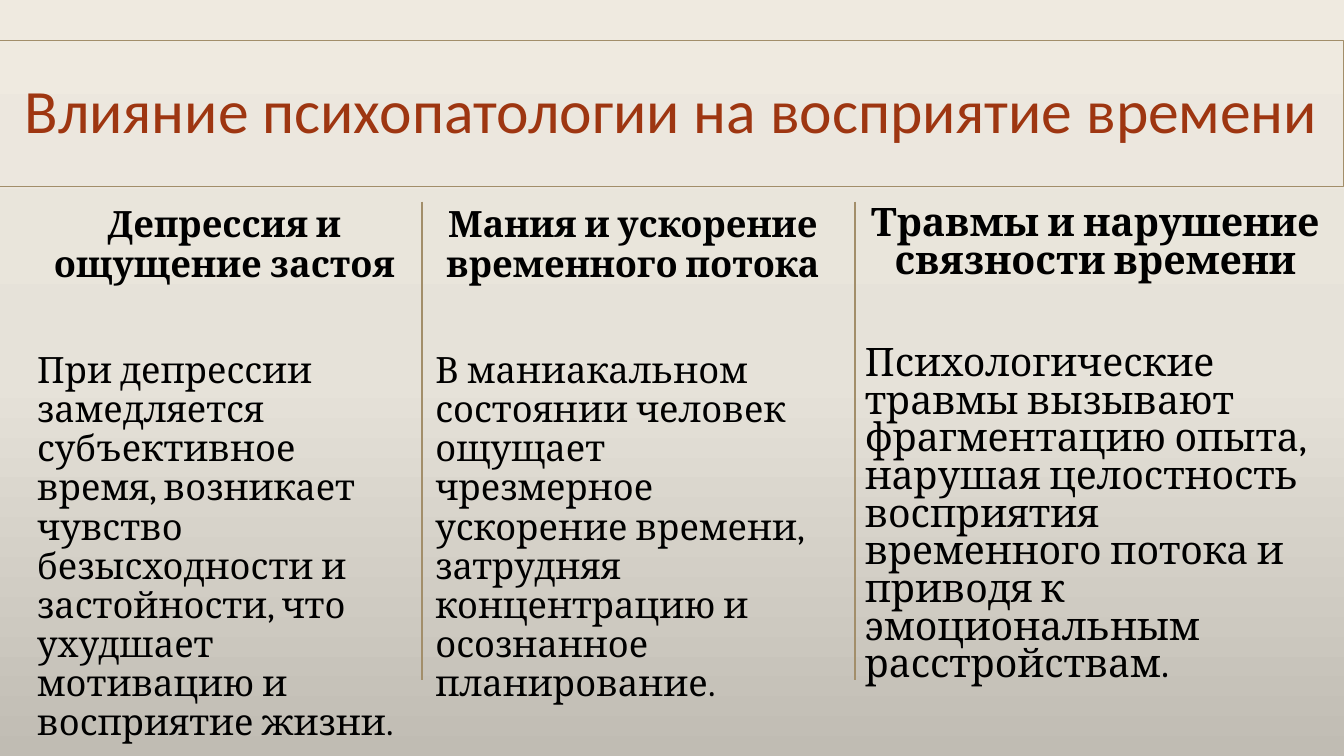
"""Build a slide on how psychopathology shapes the sense of time."""
from copy import deepcopy
from typing import Any, NamedTuple

from lxml.etree import SubElement
from pptx import Presentation
from pptx.dml.color import RGBColor
from pptx.enum.shapes import MSO_CONNECTOR, MSO_SHAPE
from pptx.enum.text import MSO_ANCHOR, PP_ALIGN
from pptx.oxml.ns import qn
from pptx.util import Inches, Pt

BLACK = RGBColor(0x00, 0x00, 0x00)
RUST = RGBColor(0x9E, 0x36, 0x11)
TAN = RGBColor(0xA2, 0x8E, 0x6A)
STOPS = (
    (0, RGBColor(0xEF, 0xEA, 0xE0)),
    (0.5, RGBColor(0xE6, 0xE2, 0xD9)),
    (1, RGBColor(0xC0, 0xBC, 0xB3)),
)
WIDTH, TOP = 13.33, 2


class Column(NamedTuple):
    left: float
    width: float
    size: float
    pitch: float
    gap: float
    head: str
    body: str


COLUMNS = (
    Column(0.27, 3.91, 25.9, 0.9, 48, "Депрессия и ощущение застоя",
           "При депрессии замедляется субъективное время, возникает чувство "
           "безысходности и застойности, что ухудшает мотивацию и восприятие жизни."),
    Column(4.22, 4.11, 25.9, 0.9, 48, "Мания и ускорение временного потока",
           "В маниакальном состоянии человек ощущает чрезмерное ускорение времени, "
           "затрудняя концентрацию и осознанное планирование."),
    Column(8.48, 4.77, 28, 0.8, 46, "Травмы и нарушение связности времени",
           "Психологические травмы вызывают фрагментацию опыта, нарушая целостность "
           "восприятия временного потока и приводя к эмоциональным расстройствам."),
)
RULES = (4.19, 8.48)


def apply(target: Any, values: dict[str, Any]) -> None:
    for name, value in values.items():
        setattr(target, name, value)


def write(para: Any, text: str, layout: dict[str, Any], font: dict[str, Any],
          color: RGBColor) -> None:
    apply(para, layout)
    run = para.add_run()
    run.text = text
    apply(run.font, font)
    run.font.color.rgb = color


def paint(slide: Any) -> None:
    fill = slide.background.fill
    fill.gradient()
    fill.gradient_angle = 270
    group = slide.element.find(".//" + qn("a:gsLst"))
    group.append(deepcopy(group[-1]))
    for stop, (place, color) in zip(fill.gradient_stops, STOPS):
        stop.position = place
        stop.color.rgb = color


def title(slide: Any) -> None:
    box = slide.shapes.add_shape(MSO_SHAPE.RECTANGLE, Inches(0), Inches(0.4),
                                 Inches(WIDTH), Inches(1.45))
    box.shadow.inherit = False
    box.fill.background()
    box.line.color.rgb = TAN
    box.line.width = Pt(0.75)
    frame = box.text_frame
    apply(frame, {"word_wrap": True, "vertical_anchor": MSO_ANCHOR.MIDDLE})
    write(frame.paragraphs[0], "Влияние психопатологии на восприятие времени",
          {"alignment": PP_ALIGN.CENTER, "line_spacing": 0.9},
          {"name": "Calibri", "size": Pt(44)}, RUST)


def column(slide: Any, item: Column) -> None:
    box = slide.shapes.add_textbox(Inches(item.left), Inches(TOP),
                                   Inches(item.width), Inches(4.76))
    frame = box.text_frame
    frame.word_wrap = True
    layout = {"line_spacing": item.pitch}
    font = {"name": "Cambria", "size": Pt(item.size)}
    write(frame.paragraphs[0], item.head, layout | {"alignment": PP_ALIGN.CENTER},
          font | {"bold": True}, BLACK)
    write(frame.add_paragraph(), item.body,
          layout | {"alignment": PP_ALIGN.LEFT, "space_before": Pt(item.gap)},
          font | {"bold": False}, BLACK)


def rule(slide: Any, left: float) -> None:
    line = slide.shapes.add_connector(MSO_CONNECTOR.STRAIGHT, Inches(left),
                                      Inches(TOP), Inches(left), Inches(6.75))
    line.line.color.rgb = TAN
    line.line.width = Pt(1.5)
    SubElement(line.element.spPr, qn("a:effectLst"))


def main() -> None:
    deck = Presentation()
    apply(deck, {"slide_width": Inches(WIDTH), "slide_height": Inches(7.5)})
    slide = deck.slides.add_slide(deck.slide_layouts[6])
    paint(slide)
    title(slide)
    for item in COLUMNS:
        column(slide, item)
    for left in RULES:
        rule(slide, left)
    deck.save("out.pptx")


if __name__ == "__main__":
    main()
